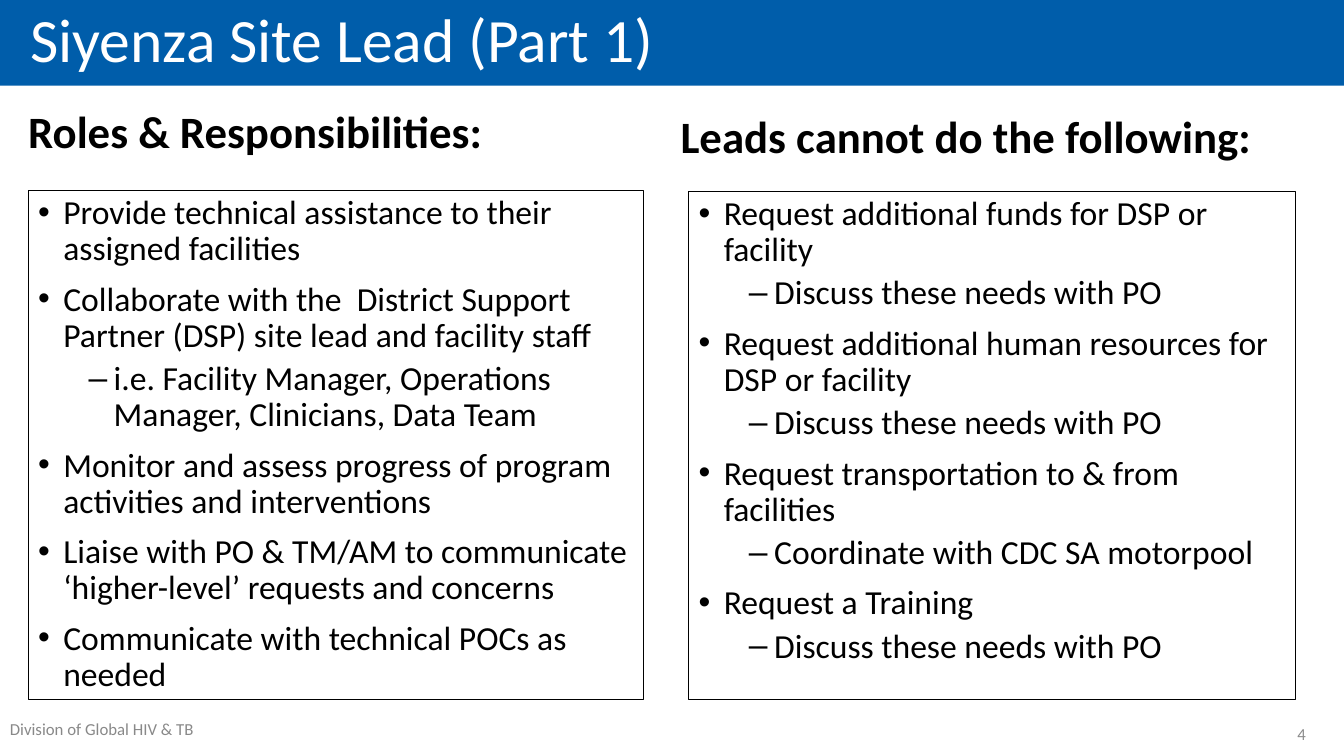
"""Build the Siyenza site lead slide with two bulleted columns."""
from pptx import Presentation
from pptx import util as u
from pptx.dml.color import RGBColor
from pptx.enum import shapes, text
from pptx.oxml.ns import qn
from lxml import etree

WIDTH, HEIGHT = u.Inches(13.33), u.Inches(7.5)
FONT = "Calibri"
BLACK, WHITE, BLUE = "000000", "FFFFFF", "005DAA"

TITLE = "Siyenza Site Lead (Part 1)"
FOOTER = "Division of Global HIV & TB"
PAGE_NUMBER = "4"
NEEDS = (1, "Discuss these needs with PO")
COLUMNS = [
    {
        "heading": "Roles & Responsibilities:",
        "heading_area": (2.1, 12.93, 45.76, 9.6),
        "list_area": (2.1, 25.2, 45.76, 67.33),
        "items": [
            (0, "Provide technical assistance to their assigned facilities"),
            (0, "Collaborate with the  District Support Partner (DSP) site lead and facility staff"),
            (1, "i.e. Facility Manager, Operations Manager, Clinicians, Data Team"),
            (0, "Monitor and assess progress of program activities and interventions"),
            (0, "Liaise with PO & TM/AM to communicate ‘higher-level’ requests and concerns"),
            (0, "Communicate with technical POCs as needed"),
        ],
    },
    {
        "heading": "Leads cannot do the following:",
        "heading_area": (50.64, 13.6, 43.21, 9.6),
        "list_area": (51.24, 25.33, 45.16, 67.2),
        "items": [
            (0, "Request additional funds for DSP or facility"),
            NEEDS,
            (0, "Request additional human resources for DSP or facility"),
            NEEDS,
            (0, "Request transportation to & from facilities"),
            (1, "Coordinate with CDC SA motorpool"),
            (0, "Request a Training"),
            NEEDS,
        ],
    },
]
BULLETS = ["•", "–"]
SPACE_BEFORE = [10, 5]


def color(value):
    return RGBColor.from_string(value)


def place(area):
    """Turn percentages of the slide into lengths."""
    return [int(side * share / 100) for side, share in zip((WIDTH, HEIGHT) * 2, area)]


def add_box(slide, area, fill=None, line=None, inset=0.1, anchor=text.MSO_ANCHOR.MIDDLE):
    shape = slide.shapes.add_shape(shapes.MSO_SHAPE.RECTANGLE, *place(area))
    shape.shadow.inherit = False
    if fill:
        shape.fill.solid()
        shape.fill.fore_color.rgb = color(fill)
    else:
        shape.fill.background()
    if line:
        shape.line.color.rgb = color(line)
        shape.line.width = u.Pt(0.75)
    else:
        shape.line.fill.background()
    frame = shape.text_frame
    frame.word_wrap = True
    frame.vertical_anchor = anchor
    frame.margin_left = frame.margin_right = u.Inches(inset)
    frame.margin_top = frame.margin_bottom = u.Inches(0.05)
    return frame


def write(paragraph, words, size, hue, bold=False, align=text.PP_ALIGN.LEFT, spacing=0.9):
    paragraph.alignment = align
    paragraph.line_spacing = spacing
    run = paragraph.add_run()
    run.text = words
    run.font.name = FONT
    run.font.size = u.Pt(size)
    run.font.bold = bold
    run.font.color.rgb = color(hue)


def add_bullet(paragraph, level):
    paragraph.level = level
    properties = paragraph._p.get_or_add_pPr()
    properties.set("marL", str(u.Inches(0.25 + 0.5 * level)))
    properties.set("indent", str(u.Inches(-0.25)))
    etree.SubElement(properties, qn("a:buFont")).set("typeface", "Arial")
    etree.SubElement(properties, qn("a:buChar")).set("char", BULLETS[level])


def add_list(slide, area, items):
    frame = add_box(slide, area, line=BLACK, anchor=text.MSO_ANCHOR.TOP)
    for index, (level, words) in enumerate(items):
        paragraph = frame.add_paragraph() if index else frame.paragraphs[0]
        add_bullet(paragraph, level)
        paragraph.space_before = u.Pt(SPACE_BEFORE[level] if index else 0)
        write(paragraph, words, 24, BLACK)


def main():
    presentation = Presentation()
    presentation.slide_width, presentation.slide_height = WIDTH, HEIGHT
    slide = presentation.slides.add_slide(presentation.slide_layouts[6])

    footer = add_box(slide, (0, 94.4, 16.28, 5.33), anchor=text.MSO_ANCHOR.TOP)
    write(footer.paragraphs[0], FOOTER, 12, "898989", spacing=1.0)
    title = add_box(slide, (0, -0.13, 100, 11.47), fill=BLUE, inset=0.3)
    write(title.paragraphs[0], TITLE, 44, WHITE)
    number = add_box(slide, (89.27, 94.4, 8.63, 5.33))
    write(number.paragraphs[0], PAGE_NUMBER, 12, "8C8C8C",
          align=text.PP_ALIGN.RIGHT, spacing=1.0)

    for column in COLUMNS:
        heading = add_box(slide, column["heading_area"], inset=0)
        write(heading.paragraphs[0], column["heading"], 32, BLACK, bold=True)
        add_list(slide, column["list_area"], column["items"])

    presentation.save("out.pptx")


if __name__ == "__main__":
    main()
